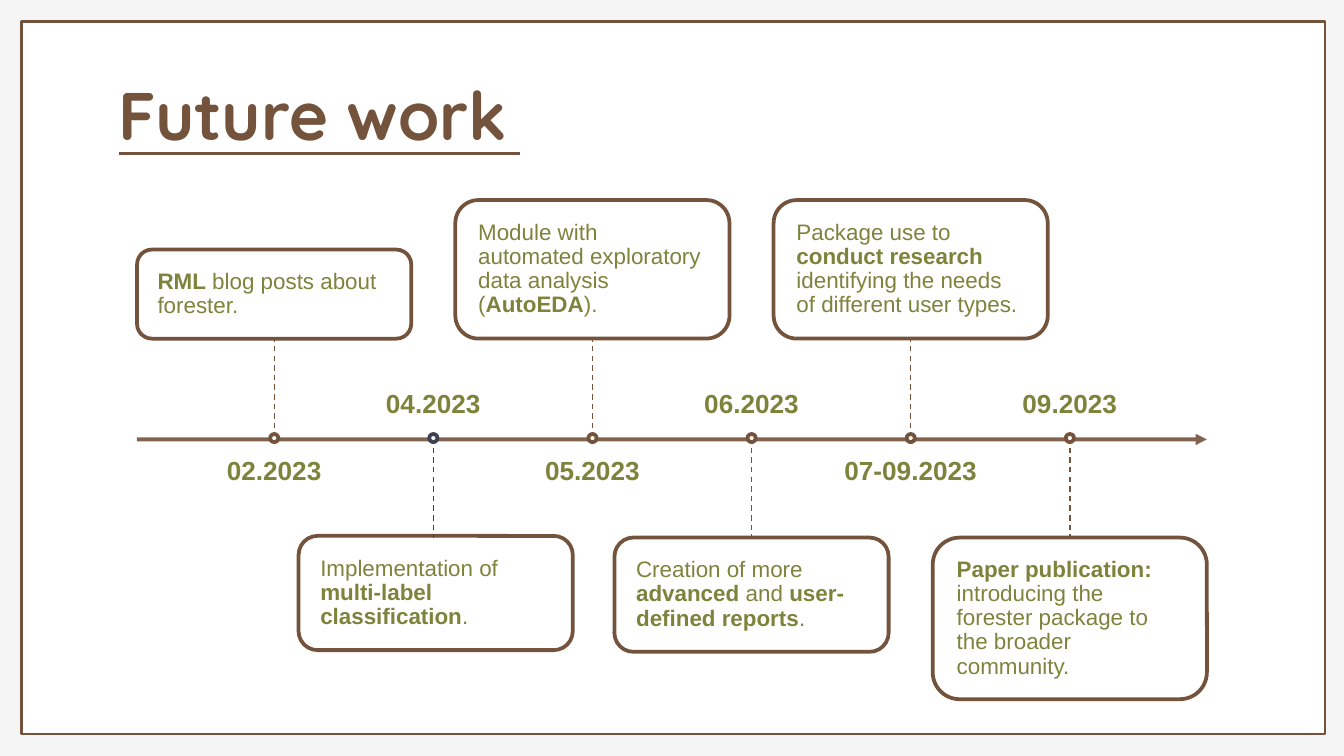
from dataclasses import dataclass
from typing import Optional

from lxml import etree
from pptx import Presentation
from pptx.dml.color import RGBColor
from pptx.enum.dml import MSO_LINE
from pptx.enum.shapes import MSO_CONNECTOR, MSO_SHAPE
from pptx.enum.text import MSO_ANCHOR, MSO_AUTO_SIZE, PP_ALIGN
from pptx.oxml.ns import qn
from pptx.util import Pt

STRAIGHT = MSO_CONNECTOR.STRAIGHT
RECT, ROUND, OVAL = MSO_SHAPE.RECTANGLE, MSO_SHAPE.ROUNDED_RECTANGLE, MSO_SHAPE.OVAL
TOP, MIDDLE, BOTTOM = MSO_ANCHOR.TOP, MSO_ANCHOR.MIDDLE, MSO_ANCHOR.BOTTOM
LEFT, CENTER = PP_ALIGN.LEFT, PP_ALIGN.CENTER
DASH = MSO_LINE.DASH

BROWN, GREEN, SLATE = "74533D", "7C843C", "3F4252"
WHITE, PALE = "FFFFFF", "F5F5F5"

# Timeline geometry in points
FIRST_X, STEP = 146.9, 85.25
AXIS_Y, DOT_Y = 235.4, 234.7
CARD_W, CARD_BOTTOM, CARD_TOP = 146.9, 181.4, 288
LABEL_W, LABEL_H = 129.6, 31.7
DOT = 4.4


@dataclass
class Milestone:
    date: str
    runs: list[tuple[str, bool]]  # text, bold
    height: float
    dx: float = 0
    dy: float = 0
    color: str = BROWN


MILESTONES = [
    Milestone("02.2023", [("RML", True), (" blog posts about forester.", False)], 47.7),
    Milestone("04.2023", [("Implementation of ", False),
                          ("multi-label classification", True), (".", False)],
              61.2, dx=1.3, dy=-0.9, color=SLATE),
    Milestone("05.2023", [("Module with automated exploratory data analysis (", False),
                          ("AutoEDA", True), (").", False)], 74.2),
    Milestone("06.2023", [("Creation of more ", False), ("advanced ", True), ("and ", False),
                          ("user-defined reports", True), (".", False)], 61.2),
    Milestone("07-09.2023", [("Package use to ", False), ("conduct research ", True),
                             ("identifying the needs of different user types.", False)], 74.2),
    Milestone("09.2023", [("Paper publication: ", True),
                          ("introducing the forester package to the broader community.", False)],
              86.6),
]


def rgb(color: str) -> RGBColor:
    return RGBColor.from_string(color)


def set_alpha(fill_parent, percent: int) -> None:
    clr = fill_parent.find(qn("a:solidFill"))[0]
    etree.SubElement(clr, qn("a:alpha"), val=str(percent * 1000))


def add_line(s, x1: float, y1: float, x2: float, y2: float, width: float,
             color: str = BROWN, dash: Optional[MSO_LINE] = None):
    c = s.shapes.add_connector(STRAIGHT, Pt(x1), Pt(y1), Pt(x2), Pt(y2))
    c.line.width = Pt(width)
    c.line.color.rgb = rgb(color)
    if dash is not None:
        c.line.dash_style = dash
    etree.SubElement(c._element.spPr, qn("a:effectLst"))
    return c


def add_box(s, kind: MSO_SHAPE, x: float, y: float, w: float, h: float,
            fill: str, color: str, width: float):
    sp = s.shapes.add_shape(kind, Pt(x), Pt(y), Pt(w), Pt(h))
    sp.shadow.inherit = False
    sp.fill.solid()
    sp.fill.fore_color.rgb = rgb(fill)
    sp.line.color.rgb = rgb(color)
    sp.line.width = Pt(width)
    return sp


def write(tf, runs: list[tuple[str, bool]], size: float, inset: float,
          anchor: MSO_ANCHOR, align: PP_ALIGN, font: str = "Arial",
          color: str = GREEN, spacing: float = 0.9) -> None:
    tf.word_wrap = True
    tf.auto_size = MSO_AUTO_SIZE.NONE
    tf.vertical_anchor = anchor
    tf.margin_left = tf.margin_right = tf.margin_top = tf.margin_bottom = Pt(inset)
    p = tf.paragraphs[0]
    p.alignment = align
    p.line_spacing = spacing
    for text, bold in runs:
        r = p.add_run()
        r.text = text
        r.font.name, r.font.size, r.font.bold = font, Pt(size), bold
        r.font.color.rgb = rgb(color)


def add_milestone(s, m: Milestone, index: int) -> None:
    x = FIRST_X + index * STEP
    above = index % 2 == 0

    # Date on the side of the axis opposite the card
    label_y = 245.5 if above else 193
    tb = s.shapes.add_textbox(Pt(x - LABEL_W / 2), Pt(label_y), Pt(LABEL_W), Pt(LABEL_H))
    write(tb.text_frame, [(m.date, True)], 14, 0, TOP if above else BOTTOM, CENTER)

    # Card, stem and dot
    y = (CARD_BOTTOM - m.height if above else CARD_TOP) + m.dy
    card = add_box(s, ROUND, x - CARD_W / 2 + m.dx, y, CARD_W, m.height, WHITE, BROWN, 2)
    set_alpha(card._element.spPr, 90)
    write(card.text_frame, m.runs, 12, 8.64, MIDDLE, LEFT)
    add_line(s, x, DOT_Y, x, CARD_BOTTOM if above else CARD_TOP, 0.75, m.color, DASH)
    add_box(s, OVAL, x - DOT / 2, DOT_Y - DOT / 2, DOT, DOT, PALE, m.color, 2)


def main() -> None:
    prs = Presentation()
    prs.slide_width, prs.slide_height = Pt(720), Pt(405)
    s = prs.slides.add_slide(prs.slide_layouts[5])
    s.background.fill.solid()
    s.background.fill.fore_color.rgb = rgb(PALE)

    # Frame, placed behind the title
    frame = add_box(s, RECT, 11.5, 11.5, 698.4, 381.8, WHITE, BROWN, 1.5)
    s.shapes._spTree.insert(2, frame._element)

    # Title and underline
    title = s.shapes.title
    title.left, title.top, title.width, title.height = Pt(56.2), Pt(30.2), Pt(573), Pt(61.2)
    write(title.text_frame, [("Future work", True)], 36, 7.2, MIDDLE, LEFT,
          "Quicksand", BROWN, 1.0)
    add_line(s, 64, 82.1, 278.6, 82.1, 1.5)

    # Time axis with arrowhead
    axis = add_line(s, 73.4, AXIS_Y, 646.6, AXIS_Y, 2)
    ln = axis.line._get_or_add_ln()
    set_alpha(ln, 90)
    etree.SubElement(ln, qn("a:tailEnd"), type="triangle", w="med", len="med")

    for i, m in enumerate(MILESTONES):
        add_milestone(s, m, i)

    prs.save("out.pptx")


if __name__ == "__main__":
    main()
